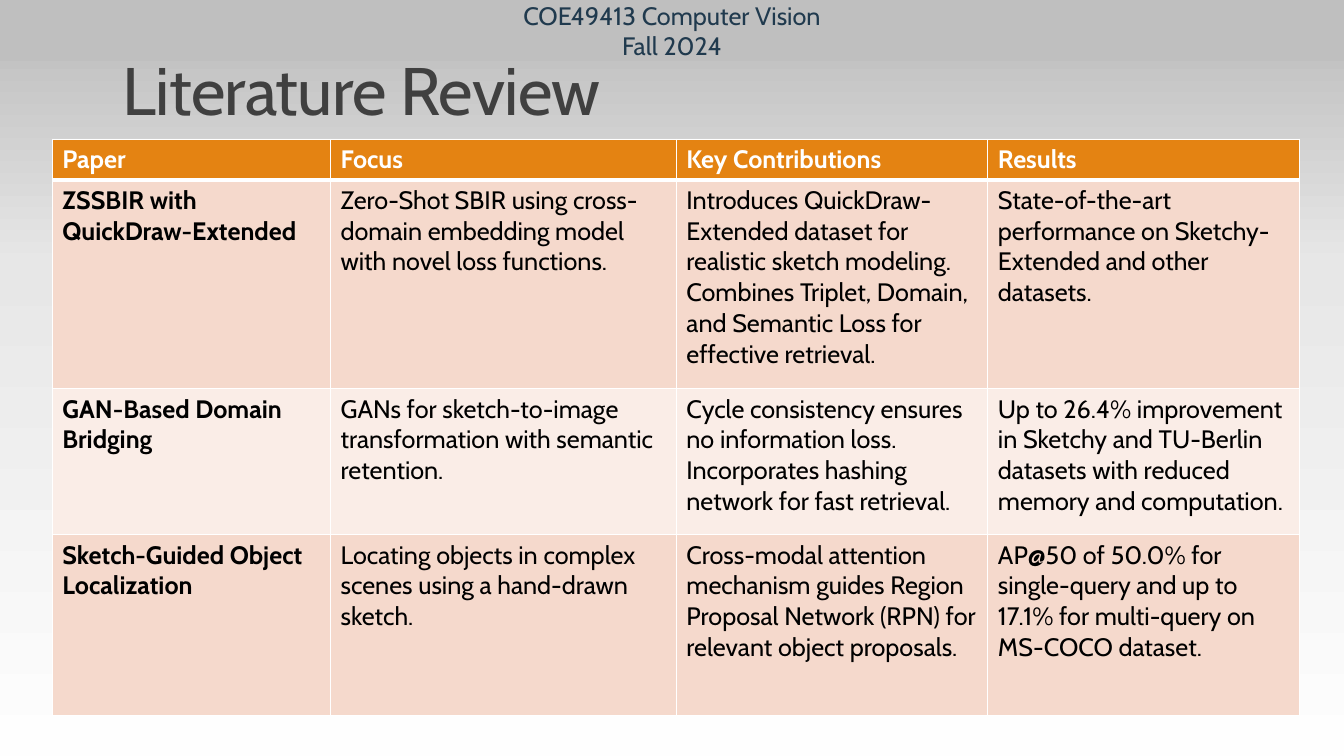
from lxml import etree
from pptx import Presentation
from pptx import util as u
from pptx.dml.color import RGBColor
from pptx.enum import shapes, text
from pptx.oxml.ns import qn

BODY = {"name": "Cabin", "size": u.Pt(18), "bold": False}
TITLE = {**BODY, "size": u.Pt(48)}
STRONG = {**BODY, "bold": True}

HEADINGS = ["Paper", "Focus", "Key Contributions", "Results"]
PAPERS = [
    ["ZSSBIR with QuickDraw-Extended",
     "Zero-Shot SBIR using cross-domain embedding model with novel loss functions.",
     "Introduces QuickDraw-Extended dataset for realistic sketch modeling. "
     "Combines Triplet, Domain, and Semantic Loss for effective retrieval.",
     "State-of-the-art performance on Sketchy-Extended and other datasets."],
    ["GAN-Based Domain Bridging",
     "GANs for sketch-to-image transformation with semantic retention.",
     "Cycle consistency ensures no information loss. "
     "Incorporates hashing network for fast retrieval.",
     "Up to 26.4% improvement in Sketchy and TU-Berlin datasets "
     "with reduced memory and computation."],
    ["Sketch-Guided Object Localization",
     "Locating objects in complex scenes using a hand-drawn sketch.",
     "Cross-modal attention mechanism guides Region Proposal Network (RPN) "
     "for relevant object proposals.",
     "AP@50 of 50.0% for single-query and up to 17.1% for multi-query "
     "on MS-COCO dataset."],
]


def rgb(code):
    return RGBColor.from_string(code)


def apply(target, values):
    for key, value in values.items():
        setattr(target, key, value)


class Deck:
    """Holds the style and the current slide; lengths are percent of the slide."""

    def __init__(self, width, height):
        self.prs = Presentation()
        self.prs.slide_width, self.prs.slide_height = u.Inches(width), u.Inches(height)
        self.slide = self.prs.slides.add_slide(self.prs.slide_layouts[5])

    def across(self, percent):
        return int(self.prs.slide_width * percent / 100)

    def down(self, percent):
        return int(self.prs.slide_height * percent / 100)

    def box(self, left, top, width, height):
        return self.across(left), self.down(top), self.across(width), self.down(height)

    def put_text(self, paragraph, words, style, color):
        run = paragraph.add_run()
        run.text = words
        apply(run.font, style)
        run.font.color.rgb = rgb(color)
        return run

    def background(self, stops, angle):
        fill = self.slide.background.fill
        fill.gradient()
        fill.gradient_angle = angle
        stop_list = next(self.slide.element.iter(qn("a:gsLst")))
        for old in list(stop_list):
            stop_list.remove(old)
        for position, color in stops:
            stop = etree.SubElement(stop_list, qn("a:gs"), pos=str(position * 1000))
            etree.SubElement(stop, qn("a:srgbClr"), val=color)

    def banner(self, lines, place, fill, color):
        band = self.slide.shapes.add_shape(shapes.MSO_SHAPE.RECTANGLE, *self.box(*place))
        band.shadow.inherit = False
        band.fill.solid()
        band.fill.fore_color.rgb = band.line.color.rgb = rgb(fill)
        band.line.width = u.Pt(1.25)
        frame = band.text_frame
        frame.vertical_anchor = text.MSO_ANCHOR.MIDDLE
        for i, line in enumerate(lines):
            paragraph = frame.add_paragraph() if i else frame.paragraphs[0]
            self.put_text(paragraph, line, BODY, color)
            paragraph.alignment = text.PP_ALIGN.CENTER
        self.slide.shapes.element.insert(2, band.element)  # behind the title

    def title(self, words, place, color):
        heading = self.slide.shapes.title
        apply(heading, dict(zip(("left", "top", "width", "height"), self.box(*place))))
        apply(heading.text_frame, {"vertical_anchor": text.MSO_ANCHOR.BOTTOM,
                                   "word_wrap": True,
                                   "auto_size": text.MSO_AUTO_SIZE.NONE})
        paragraph = heading.text_frame.paragraphs[0]
        run = self.put_text(paragraph, words, TITLE, color)
        apply(paragraph, {"alignment": text.PP_ALIGN.LEFT, "line_spacing": 0.85})
        run._r.get_or_add_rPr().set("spc", "-50")

    def borders(self, cell, color, widths):
        props = cell._tc.get_or_add_tcPr()
        for i, (side, width) in enumerate(widths.items()):
            edge = etree.Element(qn(f"a:ln{side}"), w=str(int(u.Pt(width))))
            paint = etree.SubElement(edge, qn("a:solidFill"))
            etree.SubElement(paint, qn("a:srgbClr"), val=color)
            props.insert(i, edge)

    def table(self, rows, left, top, widths, heights, head_fill, bands):
        place = self.box(left, top, sum(widths), sum(heights))
        grid = self.slide.shapes.add_table(len(rows), len(widths), *place).table
        for column, width in zip(grid.columns, widths):
            column.width = self.across(width)
        for r, (row, height) in enumerate(zip(grid.rows, heights)):
            row.height = self.down(height)
            for c, cell in enumerate(row.cells):
                self.put_text(cell.text_frame.paragraphs[0], rows[r][c],
                              BODY if r and c else STRONG, "000000" if r else "FFFFFF")
                cell.fill.solid()
                cell.fill.fore_color.rgb = rgb(bands[(r - 1) % 2] if r else head_fill)
                self.borders(cell, "FFFFFF", {"L": 1, "R": 1, "T": 3 if r == 1 else 1,
                                              "B": 1 if r else 3})


def main():
    deck = Deck(13.33, 7.5)
    # Backdrop and course banner
    deck.background([(0, "FEFEFE"), (65, "E7E7E7"), (100, "B9B9B9")], angle=90)
    deck.banner(["COE49413 Computer Vision", "Fall 2024"], (0, 0, 100, 8),
                "BFBFBF", "203A4E")
    # Heading
    deck.title("Literature Review", (8.4, 6.67, 82.5, 11.07), "404040")
    # Comparison of papers
    deck.table([HEADINGS, *PAPERS], 3.9, 18.4, widths=[20.7, 25.73, 23.18, 23.18],
               heights=[5.07, 27.6, 19.33, 23.87],
               head_fill="E48312", bands=["F5D9CC", "FAEDE7"])
    deck.prs.save("out.pptx")


if __name__ == "__main__":
    main()
